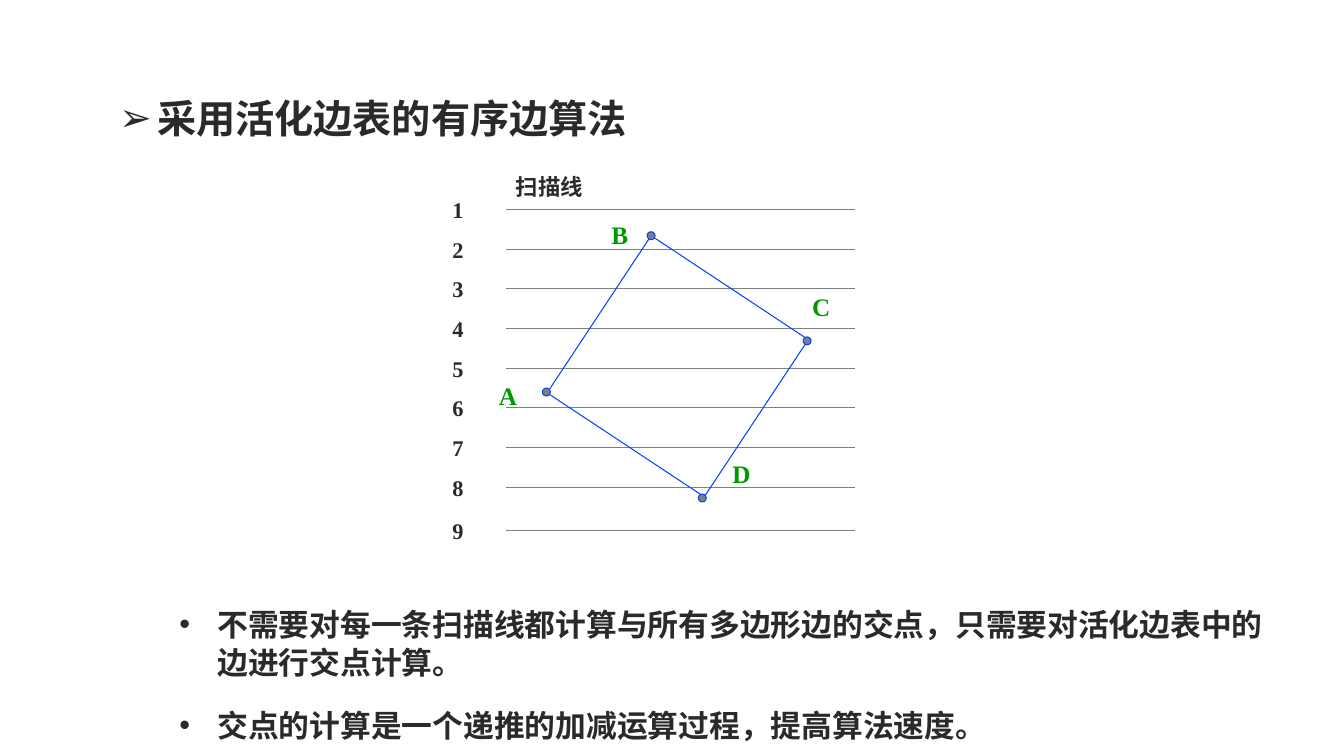
from lxml import etree
from pptx import Presentation
from pptx import util as u
from pptx.dml.color import RGBColor
from pptx.enum import shapes, text
from pptx.oxml.ns import qn

CJK = "Noto Sans CJK SC"
SERIF = "Times New Roman"


def hue(code):
    return RGBColor.from_string(code)


def put(item, values):
    for name, value in values.items():
        setattr(item, name, value)


class Page:
    """Holds the style and the slide being drawn."""

    ink, dark, grey, blue, green = "282A2C", "2A2A2A", "7F7F7F", "0343F9", "009900"

    def __init__(self, deck):
        self.slide = deck.slides.add_slide(deck.slide_layouts[1])
        self.shapes = self.slide.shapes

    def place(self, shape, left, top, width, height):
        put(shape, {"left": u.Cm(left), "top": u.Cm(top),
                    "width": u.Cm(width), "height": u.Cm(height)})

    def words(self, para, line, size, font, color):
        run = para.add_run()
        run.text = line
        put(run.font, {"size": u.Pt(size), "name": font, "bold": True})
        run.font.color.rgb = hue(color)
        east = etree.SubElement(run._r.get_or_add_rPr(), qn("a:ea"))
        east.set("typeface", CJK)

    def list(self, holder, box, lines, size, mark, anchor, form):
        self.place(holder, *box)
        frame = holder.text_frame
        put(frame, {"margin_left": 0, "margin_right": 0, "margin_top": 0,
                    "margin_bottom": 0, "word_wrap": True,
                    "auto_size": text.MSO_AUTO_SIZE.NONE,
                    "vertical_anchor": anchor})
        for i, line in enumerate(lines):
            para = frame.add_paragraph() if i else frame.paragraphs[0]
            put(para, {"alignment": text.PP_ALIGN.LEFT,
                       "space_before": u.Pt(0), **form})
            props = para._p.get_or_add_pPr()
            props.set("marL", str(u.Cm(0.96)))
            props.set("indent", str(-u.Cm(0.96)))
            etree.SubElement(props, qn("a:buFont")).set("typeface", "Arial")
            etree.SubElement(props, qn("a:buChar")).set("char", mark)
            self.words(para, line, size, CJK, self.ink)

    def label(self, line, box, size, font, color):
        frame = self.shapes.add_textbox(*map(u.Cm, box)).text_frame
        put(frame, {"word_wrap": True,
                    "auto_size": text.MSO_AUTO_SIZE.SHAPE_TO_FIT_TEXT,
                    "vertical_anchor": text.MSO_ANCHOR.MIDDLE})
        self.words(frame.paragraphs[0], line, size, font, color)

    def line(self, left, right, y):
        rule = self.shapes.add_connector(
            shapes.MSO_CONNECTOR.STRAIGHT, *map(u.Cm, (left, y, right, y)))
        rule.line.color.rgb = hue(self.grey)
        rule.line.width = u.Pt(0.75)
        etree.SubElement(rule._element.spPr, qn("a:effectLst"))

    def shape(self, kind, x, y, side, fill=None, turn=0):
        box = (x - side / 2, y - side / 2, side, side)
        form = self.shapes.add_shape(kind, *map(u.Cm, box))
        form.rotation = turn
        form.shadow.inherit = False
        if fill:
            form.fill.solid()
            form.fill.fore_color.rgb = hue(fill)
        else:
            form.fill.background()
        form.line.color.rgb = hue(self.blue)
        form.line.width = u.Pt(0.75)


def main():
    deck = Presentation()
    put(deck, {"slide_width": u.Cm(33.87), "slide_height": u.Cm(19.05)})
    page = Page(deck)
    page.list(page.shapes.title, (3, 2.08, 27, 1.78),
              ["采用活化边表的有序边算法"], 28, "➢",
              text.MSO_ANCHOR.MIDDLE, {})
    page.list(page.slide.placeholders[1], (4.52, 15.24, 27.43, 3.6),
              ["不需要对每一条扫描线都计算与所有多边形边的交点，只需要对活化边表中的边进行交点计算。",
               "交点的计算是一个递推的加减运算过程，提高算法速度。"],
              22, "•", text.MSO_ANCHOR.TOP,
              {"line_spacing": u.Pt(27), "space_after": u.Pt(18)})

    page.label("扫描线", (12.75, 4.22, 4.27, 0.94), 16, "Arial", page.dark)
    rows = [5.28 + i for i in range(8)] + [13.36]
    for i, y in enumerate(rows, 1):
        page.line(12.75, 21.55, y)
        page.label(str(i), (11.15, y - 0.47, 2.39, 0.94), 16, SERIF, page.dark)

    page.shape(shapes.MSO_SHAPE.RECTANGLE, 17.08, 9.23, 4.75, turn=33.5)
    points = {"A": (13.77, 9.88, 12.32, 9.45), "B": (16.41, 5.94, 15.16, 5.41),
              "C": (20.34, 8.59, 20.22, 7.21), "D": (17.7, 12.55, 18.21, 11.43)}
    for name, (x, y, left, top) in points.items():
        page.shape(shapes.MSO_SHAPE.OVAL, x, y, 0.2, page.grey)
        page.label(name, (left, top, 2.39, 1.02), 18, SERIF, page.green)
    deck.save("out.pptx")


if __name__ == "__main__":
    main()
